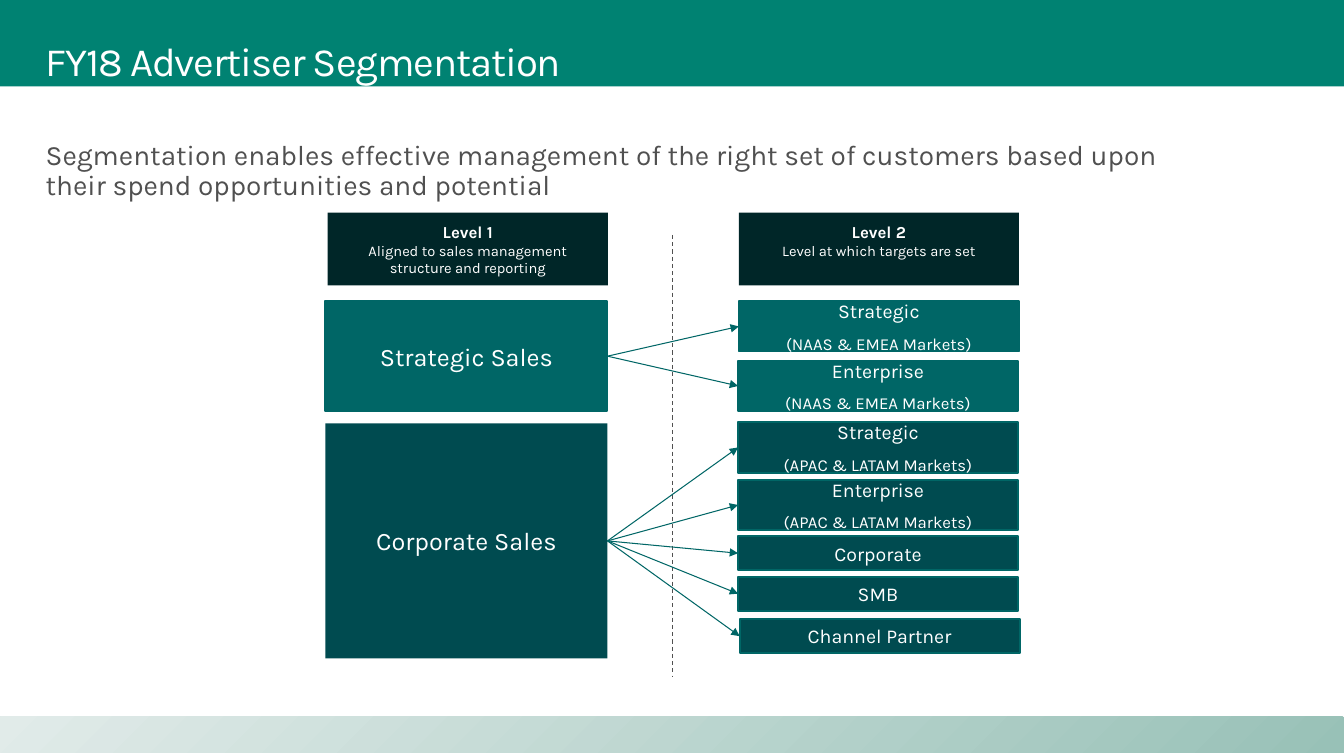
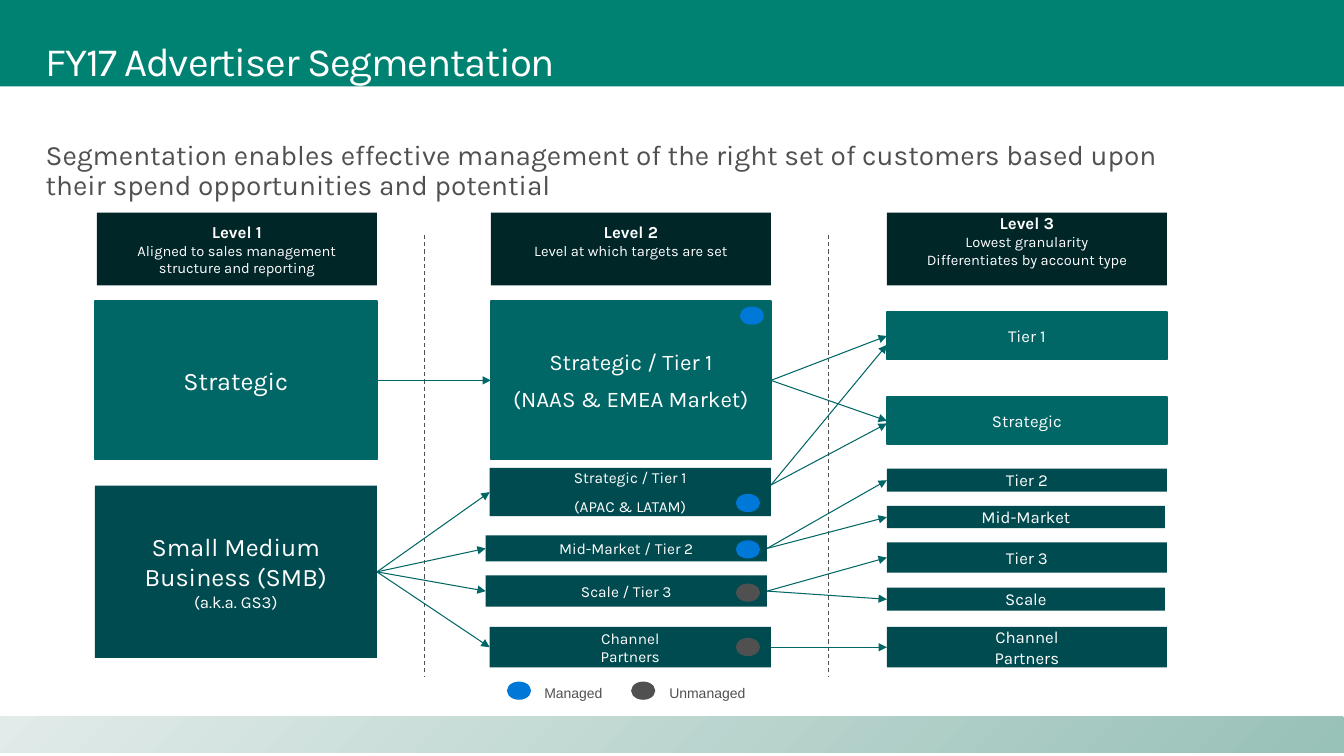
"""Build two slides that map advertiser segments from level to level."""
import pptx
import pptx.util
import pptx.dml.color
import pptx.enum.dml
import pptx.enum.shapes
import pptx.enum.text
import pptx.oxml
import pptx.oxml.ns

Cm = pptx.util.Cm
Pt = pptx.util.Pt
RECTANGLE = pptx.enum.shapes.MSO_SHAPE.RECTANGLE
OVAL = pptx.enum.shapes.MSO_SHAPE.OVAL
ALIGN = pptx.enum.text.PP_ALIGN
ANCHOR = pptx.enum.text.MSO_ANCHOR

COLORS = {
    "band": "008272", "footer dark": "98C1B7", "footer light": "E1EBE9",
    "header": "002628", "teal": "006666", "dark": "004B50",
    "white": "FFFFFF", "gray": "505050", "blue": "0078D7",
}
RGB = {name: pptx.dml.color.RGBColor.from_string(value) for name, value in COLORS.items()}

BOX_FRAME = {
    "word_wrap": True, "vertical_anchor": ANCHOR.MIDDLE,
    "margin_left": Cm(0.15), "margin_right": Cm(0.15),
    "margin_top": Cm(0.15), "margin_bottom": Cm(0.15),
}
HEADING_FRAME = {
    "word_wrap": True, "vertical_anchor": ANCHOR.TOP,
    "auto_size": pptx.enum.text.MSO_AUTO_SIZE.NONE,
    "margin_left": Cm(0.41), "margin_right": Cm(0.41),
    "margin_top": Cm(0.25), "margin_bottom": Cm(0.25),
}
HEADING_PARAGRAPH = {"alignment": ALIGN.LEFT, "line_spacing": 0.9}
LEGEND_FRAME = {"word_wrap": True, "vertical_anchor": ANCHOR.TOP}

SUBTITLE = ("Segmentation enables effective management of the right set of customers "
            "based upon their spend opportunities and potential")
LEVEL_1 = ["Level 1", "Aligned to sales management", "structure and reporting"]
LEVEL_2 = ["Level 2", "Level at which targets are set"]
LEVEL_3 = ["Level 3", "Lowest granularity", "Differentiates by account type"]
NAAS = ("(NAAS & EMEA Markets)", 12)
APAC = ("(APAC & LATAM Markets)", 12)
GAP = 7.4

SLIDES = [
    {
        "title": "FY18 Advertiser Segmentation",
        "dividers": [16.94],
        "headers": [(8.26, 0.22, LEVEL_1), (18.62, 0.22, LEVEL_2)],
        "boxes": {
            "strategic sales": (8.2, 7.59, 7.11, 2.77, "teal", "teal", 0, [("Strategic Sales", 18)]),
            "corporate sales": (8.2, 10.67, 7.11, 5.92, "dark", None, 0, [("Corporate Sales", 18)]),
            "naas strategic": (18.62, 7.59, 7.06, 1.27, "teal", "teal", GAP, [("Strategic", 14), NAAS]),
            "naas enterprise": (18.6, 9.09, 7.06, 1.27, "teal", "teal", GAP, [("Enterprise", 14), NAAS]),
            "apac strategic": (18.6, 10.64, 7.06, 1.27, "dark", "teal", GAP, [("Strategic", 14), APAC]),
            "apac enterprise": (18.6, 12.09, 7.06, 1.27, "dark", "teal", GAP, [("Enterprise", 14), APAC]),
            "corporate": (18.6, 13.51, 7.06, 0.86, "dark", "teal", 0, [("Corporate", 14)]),
            "smb": (18.6, 14.53, 7.06, 0.86, "dark", "teal", 0, [("SMB", 14)]),
            "channel partner": (18.64, 15.6, 7.06, 0.86, "dark", "teal", 0, [("Channel Partner", 14)]),
        },
        "joins": {
            "strategic sales": ["naas strategic", "naas enterprise"],
            "corporate sales": ["apac strategic", "apac enterprise", "corporate", "smb", "channel partner"],
        },
        "free arrows": [],
        "dots": [],
        "legend": [],
    },
    {
        "title": "FY17 Advertiser Segmentation",
        "dividers": [10.69, 20.88],
        "headers": [(2.44, 0.22, LEVEL_1), (12.37, 0.22, LEVEL_2), (22.35, 0.01, LEVEL_3)],
        "boxes": {
            "strategic": (2.39, 7.59, 7.11, 3.99, "teal", "teal", 0, [("Strategic", 18)]),
            "smb": (2.39, 12.24, 7.11, 4.34, "dark", None, 0,
                    [("Small Medium Business (SMB)", 18), ("(a.k.a. GS3)", 12)]),
            "naas": (12.37, 7.59, 7.06, 3.99, "teal", "teal", GAP,
                     [("Strategic / Tier 1", 16), ("(NAAS & EMEA Market)", 16)]),
            "apac": (12.34, 11.79, 7.09, 1.22, "dark", None, GAP,
                     [("Strategic / Tier 1", 11), ("(APAC & LATAM)", 11)]),
            "mid-market": (12.24, 13.49, 7.09, 0.66, "dark", None, 0, [("Mid-Market / Tier 2", 11)]),
            "scale": (12.24, 14.5, 7.09, 0.79, "dark", None, 0, [("Scale / Tier 3", 11)]),
            "channel": (12.34, 15.8, 7.09, 1.02, "dark", None, 0, [("Channel", 11), ("Partners", 11)]),
            "type tier 1": (22.35, 7.87, 7.06, 1.19, "teal", "teal", 0, [("Tier 1", 12)]),
            "type strategic": (22.35, 10.01, 7.06, 1.19, "teal", "teal", 0, [("Strategic", 12)]),
            "type tier 2": (22.35, 11.81, 7.06, 0.58, "dark", None, 0, [("Tier 2", 12)]),
            "type mid-market": (22.35, 12.75, 7.01, 0.56, "dark", None, 0, [("Mid-Market", 12)]),
            "type tier 3": (22.35, 13.67, 7.06, 0.76, "dark", None, 0, [("Tier 3", 12)]),
            "type scale": (22.35, 14.81, 7.01, 0.58, "dark", None, 0, [("Scale", 12)]),
            "type channel": (22.35, 15.8, 7.06, 1.02, "dark", None, 0, [("Channel", 12), ("Partners", 12)]),
        },
        "joins": {
            "strategic": ["naas"],
            "smb": ["apac", "mid-market", "scale", "channel"],
            "naas": ["type tier 1", "type strategic"],
            "mid-market": ["type tier 2", "type mid-market"],
            "scale": ["type tier 3", "type scale"],
            "channel": ["type channel"],
        },
        "free arrows": [(19.43, 12.22, 22.35, 8.69), (19.43, 12.22, 22.35, 10.67)],
        "dots": [(18.67, 7.75, "blue"), (18.57, 12.47, "blue"), (18.57, 13.64, "blue"),
                 (18.57, 14.73, "gray"), (18.57, 16.1, "gray"),
                 (12.8, 17.2, "blue"), (15.93, 17.2, "gray")],
        "legend": [(13.08, 2.74, "Managed"), (16.21, 3.23, "Unmanaged")],
    },
]


def add_filled(slide, kind, bounds, fill, line=None):
    """Add a plain shape with a solid fill and an optional outline."""
    shape = slide.shapes.add_shape(kind, *map(Cm, bounds))
    shape.shadow.inherit = False
    shape.fill.solid()
    shape.fill.fore_color.rgb = RGB[fill]
    if line:
        shape.line.color.rgb = RGB[line]
        shape.line.width = Pt(1.35)
    else:
        shape.line.fill.background()
    return shape


def write_text(shape, lines, frame_format, paragraph_format, color="white", font="Karla", gap=0):
    """Write one paragraph per (text, size) or (text, size, bold) line."""
    frame = shape.text_frame
    for name, value in frame_format.items():
        setattr(frame, name, value)
    for index, (text, size, *bold) in enumerate(lines):
        paragraph = frame.add_paragraph() if index else frame.paragraphs[0]
        for name, value in paragraph_format.items():
            setattr(paragraph, name, value)
        paragraph.space_before = Pt(gap if index else 0)
        run = paragraph.add_run()
        run.text = text
        run.font.color.rgb = RGB[color]
        for name, value in {"size": Pt(size), "name": font, "bold": bool(bold)}.items():
            setattr(run.font, name, value)


presentation = pptx.Presentation()
presentation.slide_width = Cm(33.87)
presentation.slide_height = Cm(19.05)
CENTERED = {"alignment": ALIGN.CENTER}

for content in SLIDES:
    slide = presentation.slides.add_slide(presentation.slide_layouts[5])

    footer = add_filled(slide, RECTANGLE, (0, 18.06, 33.87, 0.91), "footer light")
    footer.fill.gradient()
    footer.fill.gradient_angle = 135
    for stop, name in zip(footer.fill.gradient_stops, ["footer dark", "footer light"]):
        stop.color.rgb = RGB[name]
    add_filled(slide, RECTANGLE, (0, 0, 33.87, 2.18), "band")

    title = slide.shapes.title
    slide.shapes.element.append(title.element)
    title.left, title.top, title.width, title.height = map(Cm, (0.74, 0.81, 30.15, 3.68))
    write_text(title, [(content["title"], 28.7)], HEADING_FRAME, HEADING_PARAGRAPH)
    title.text_frame.paragraphs[0].runs[0].font._element.set("spc", "-80")

    subtitle = slide.shapes.add_textbox(*map(Cm, (0.74, 3.3, 30.15, 2.06)))
    write_text(subtitle, [(SUBTITLE, 20)], HEADING_FRAME, HEADING_PARAGRAPH, "gray")

    for left, margin_top, (level, *details) in content["headers"]:
        header = add_filled(slide, RECTANGLE, (left, 5.36, 7.06, 1.83), "header")
        lines = [(level, 12, True)] + [(detail, 10.5) for detail in details]
        header_frame = {**BOX_FRAME, "vertical_anchor": ANCHOR.TOP, "margin_top": Cm(margin_top)}
        write_text(header, lines, header_frame, CENTERED)

    boxes = {}
    for name, (left, top, width, height, fill, line, gap, lines) in content["boxes"].items():
        boxes[name] = add_filled(slide, RECTANGLE, (left, top, width, height), fill, line)
        write_text(boxes[name], lines, BOX_FRAME, CENTERED, gap=gap)

    links = [((x, 5.92, x, 17.04), None, None) for x in content["dividers"]]
    links += [(points, None, None) for points in content["free arrows"]]
    links += [((0, 0, 1, 1), source, target)
              for source, targets in content["joins"].items() for target in targets]
    for points, source, target in links:
        connector = slide.shapes.add_connector(
            pptx.enum.shapes.MSO_CONNECTOR.STRAIGHT, *map(Cm, points))
        if source:
            connector.begin_connect(boxes[source], 3)
            connector.end_connect(boxes[target], 1)
        is_divider = points[0] == points[2]
        connector.line.width = Pt(0.75)
        connector.line.color.rgb = RGB["gray" if is_divider else "teal"]
        if is_divider:
            connector.line.dash_style = pptx.enum.dml.MSO_LINE.DASH
        else:
            arrowhead = pptx.oxml.parse_xml(
                f'<a:tailEnd {pptx.oxml.ns.nsdecls("a")} type="triangle"/>')
            connector.line._get_or_add_ln().append(arrowhead)
        connector.element.spPr.append(
            pptx.oxml.parse_xml(f'<a:effectLst {pptx.oxml.ns.nsdecls("a")}/>'))

    for left, top, color in content["dots"]:
        add_filled(slide, OVAL, (left, top, 0.56, 0.41), color, color)
    for left, width, label in content["legend"]:
        legend = slide.shapes.add_textbox(*map(Cm, (left, 17.12, width, 0.69)))
        write_text(legend, [(label, 10)], LEGEND_FRAME, CENTERED, "gray", "Arial")

presentation.save("out.pptx")
